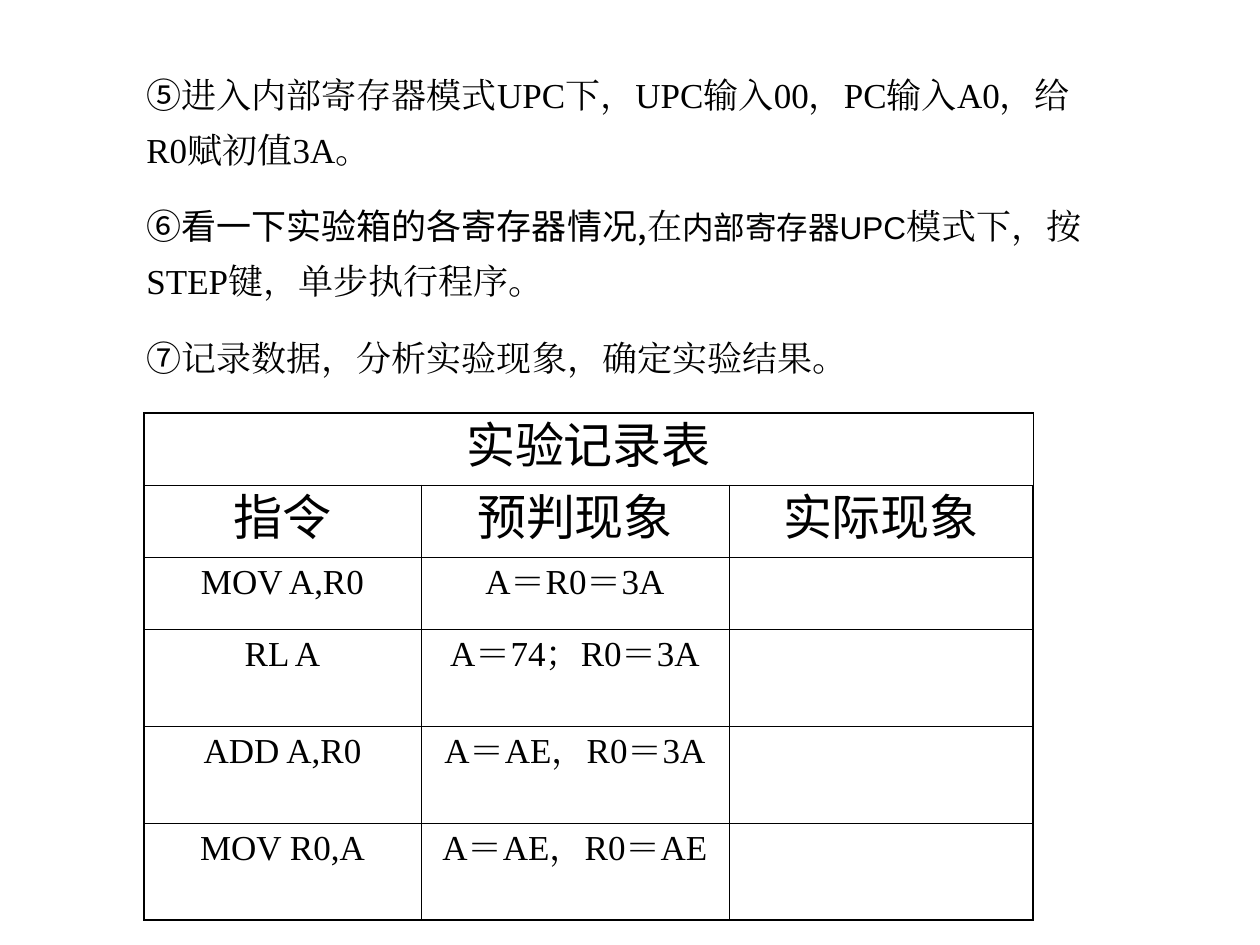
from lxml import etree
from pptx import Presentation
from pptx.dml.color import RGBColor
from pptx.enum.text import PP_ALIGN
from pptx.oxml.ns import qn
from pptx.util import Emu, Pt

LEFT, CENTER = PP_ALIGN.LEFT, PP_ALIGN.CENTER
PX = 914400 / 126
COLORS = {"ink": "000000"}
CJK, SERIF, SANS = "Noto Sans CJK SC", "Times New Roman", "Arial"
THICK, THIN = 1.08, 0.45


def px(n):
    return Emu(round(n * PX))


class Page:
    def __init__(self, wide, high):
        self.deck = Presentation()
        self.deck.slide_width, self.deck.slide_height = px(wide), px(high)
        self.slide = self.deck.slides.add_slide(self.deck.slide_layouts[6])

    def para(self, para, runs, **form):
        for name, value in form.items():
            setattr(para, name, value)
        for text, face, size in runs:
            run = para.add_run()
            run.text = text
            for name, value in {"name": face, "size": Pt(size)}.items():
                setattr(run.font, name, value)
            run.font.color.rgb = RGBColor.from_string(COLORS["ink"])
            # East Asian glyphs follow the same font
            etree.SubElement(run.font._element, qn("a:ea"), typeface=face)

    def text(self, box, paras):
        frame = self.slide.shapes.add_textbox(*map(px, box)).text_frame
        frame.word_wrap = True
        for i, runs in enumerate(paras):
            para = frame.add_paragraph() if i else frame.paragraphs[0]
            self.para(para, runs, alignment=LEFT, line_spacing=1.3,
                      space_before=Pt(12.5))

    def border(self, cell, sides):
        props = cell._tc.get_or_add_tcPr()
        for i, (side, width) in enumerate(sides.items()):
            line = etree.Element(qn(f"a:ln{side}"), w=str(Pt(width)))
            fill = etree.SubElement(line, qn("a:solidFill"))
            etree.SubElement(fill, qn("a:srgbClr"), val=COLORS["ink"])
            props.insert(i, line)

    def table(self, left, top, cols, rows, cells):
        table = self.slide.shapes.add_table(
            len(rows), len(cols), px(left), px(top),
            px(sum(cols)), px(sum(rows))).table
        table.first_row = table.horz_banding = False
        for col, wide in zip(table.columns, cols):
            col.width = px(wide)
        for row, high in zip(table.rows, rows):
            row.height = px(high)
        end_row, end_col = len(rows) - 1, len(cols) - 1
        for r, line in enumerate(cells):
            face, size, gap = (SANS, 28, 7) if r < 2 else (SERIF, 20, 5)
            for c in range(len(cols)):
                cell = table.cell(r, c)
                cell.fill.background()
                # Thick frame outside, thin rules inside
                edges = {"L": c == 0, "R": c == end_col,
                         "T": r == 0, "B": r == end_row}
                self.border(cell, {side: THICK if outer else THIN
                                   for side, outer in edges.items()})
                if c < len(line):
                    self.para(cell.text_frame.paragraphs[0],
                              [(line[c], face, size)],
                              alignment=CENTER, space_before=Pt(gap))
        table.cell(0, 0).merge(table.cell(0, end_col))


def main():
    page = Page(1260, 945)

    # Steps
    page.text((134, 55, 963, 330), [
        [("⑤", CJK, 20),
         ("进入内部寄存器模式UPC下，UPC输入00，PC输入A0，给R0赋初值3A。", SERIF, 20)],
        [("⑥看一下实验箱的各寄存器情况,", CJK, 20), ("在", SERIF, 20),
         ("内部寄存器UPC", SANS, 18),
         ("模式下，按STEP键，单步执行程序。", SERIF, 20)],
        [("⑦", CJK, 20), ("记录数据，分析实验现象，确定实验结果。", SERIF, 20)],
    ])

    # Record table
    page.table(144, 413, (277, 308, 304), (72,) * 3 + (97,) * 3, [
        ("实验记录表",),
        ("指令", "预判现象", "实际现象"),
        ("MOV A,R0", "A＝R0＝3A"),
        ("RL A", "A＝74；R0＝3A"),
        ("ADD A,R0", "A＝AE，R0＝3A"),
        ("MOV R0,A", "A＝AE，R0＝AE"),
    ])

    page.deck.save("out.pptx")


if __name__ == "__main__":
    main()
